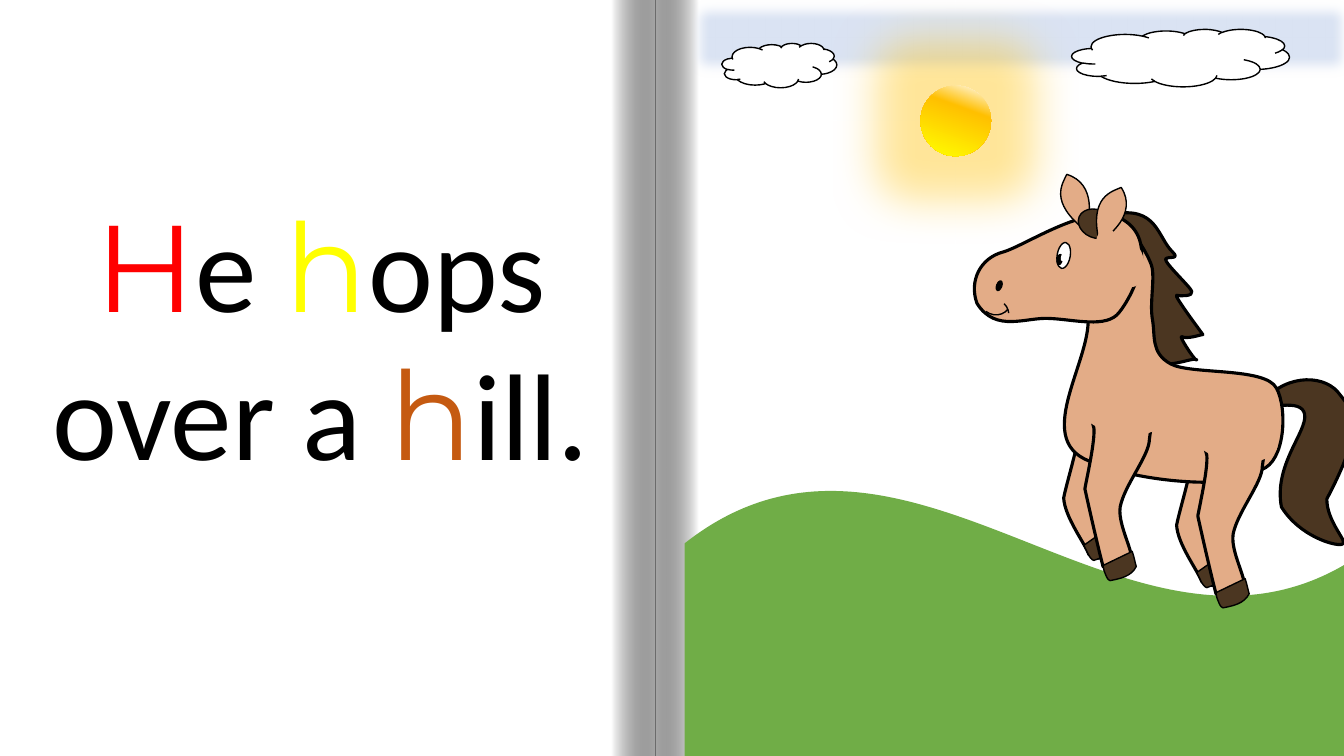
from lxml import etree
from pptx import Presentation
from pptx.dml.color import RGBColor
from pptx.enum.shapes import MSO_SHAPE
from pptx.enum.text import MSO_AUTO_SIZE, PP_ALIGN
from pptx.oxml import parse_xml
from pptx.oxml.ns import nsdecls, qn
from pptx.util import Inches, Pt

RECTANGLE, CLOUD, ELLIPSE = MSO_SHAPE.RECTANGLE, MSO_SHAPE.CLOUD, MSO_SHAPE.OVAL
ARC, DOUBLE_WAVE = MSO_SHAPE.ARC, MSO_SHAPE.DOUBLE_WAVE
CENTER, GROW = PP_ALIGN.CENTER, MSO_AUTO_SIZE.SHAPE_TO_FIT_TEXT

WHITE, BLACK, COAT, MANE = "FFFFFF", "000000", "E3AC87", "4B3621"
SKY, GRASS = "DAE3F3", "70AD47"
OUTLINE, THIN = 2.25, 1
REAR = (1.12, 0.27)  # offset from a front leg to the matching rear leg

# Outlines: start point, then lines (2 numbers) and curves (6 numbers)
FAR_LEG = [
    (11.04, 3.99), (10.93, 3.93, 10.79, 3.92, 10.7, 3.96),
    (10.63, 4.05, 10.67, 4.05, 10.71, 4.18), (10.73, 4.31, 10.58, 4.78, 10.55, 4.94),
    (10.56, 5.13, 10.76, 5.39, 10.8, 5.5), (10.89, 5.57, 10.94, 5.53, 11.05, 5.48),
    (11.15, 5.37, 10.87, 5.07, 10.93, 4.86), (11, 4.66, 11.04, 4.5, 11.04, 4.36), (11.04, 3.99)]
FAR_HOOF = [
    (10.75, 5.41), (10.78, 5.47), (10.8, 5.52, 10.83, 5.56, 10.85, 5.56),
    (10.96, 5.52, 11.09, 5.47, 11.12, 5.35), (11.11, 5.32, 11.08, 5.27, 11.05, 5.2)]
NEAR_LEG = [
    (11.44, 4.07), (11.34, 4.02, 10.99, 3.93, 10.9, 3.96),
    (10.83, 4.06, 10.81, 4.11, 10.85, 4.25), (10.86, 4.38, 10.79, 4.69, 10.76, 4.85),
    (10.86, 5.3, 10.91, 5.5, 10.94, 5.62), (11.04, 5.69, 11.09, 5.68, 11.21, 5.64),
    (11.3, 5.53, 11.05, 5.19, 11.12, 4.99), (11.18, 4.78, 11.4, 4.51, 11.4, 4.36), (11.44, 4.07)]
NEAR_HOOF = [
    (10.94, 5.61), (10.95, 5.66), (10.97, 5.71, 10.98, 5.75, 11.01, 5.76),
    (11.11, 5.74, 11.22, 5.72, 11.27, 5.62), (11.26, 5.59, 11.25, 5.53, 11.23, 5.47)]
TAIL = [
    (13.31, 5.4), (13.39, 5.39, 13.16, 5.19, 13.16, 4.95),
    (13.56, 4.19, 13.42, 4.08, 13.27, 3.89), (13.11, 3.7, 12.7, 3.72, 12.5, 4.03),
    (12.55, 4.07, 12.91, 3.94, 12.94, 4.11), (12.97, 4.28, 12.63, 4.61, 12.71, 5.03),
    (12.89, 5.32, 13.24, 5.42, 13.31, 5.4)]
MANE_HAIR = [
    (11.02, 2.13), (10.69, 2.3), (11.02, 3.04), (11.18, 3.53),
    (11.29, 3.54, 11.19, 3.56, 11.46, 3.56), (11.52, 3.69, 11.86, 3.53, 11.87, 3.57),
    (11.87, 3.61, 11.68, 3.32, 11.72, 3.34), (11.77, 3.37, 11.91, 3.32, 11.93, 3.32),
    (11.94, 3.33, 11.63, 2.92, 11.67, 2.93), (11.71, 2.94, 11.84, 2.94, 11.82, 2.89),
    (11.8, 2.84, 11.55, 2.61, 11.56, 2.57), (11.58, 2.54, 11.71, 2.58, 11.63, 2.5),
    (11.48, 2.36, 11.48, 2.03, 11.02, 2.13)]
BODY = [
    (11.43, 3.17), (11.4, 3, 11.46, 2.75, 11.42, 2.63),
    (11.38, 2.51, 11.17, 2.15, 11.06, 2.22), (10.96, 2.29, 10.85, 2.7, 10.78, 3.07),
    (10.89, 3.48, 10.25, 4.29, 10.75, 4.55), (11.26, 4.8, 12.35, 4.87, 12.51, 4.66),
    (12.75, 4.58, 12.77, 4.05, 12.66, 3.85), (12.55, 3.64, 11.81, 3.72, 11.61, 3.61),
    (11.41, 3.5, 11.46, 3.33, 11.43, 3.17)]
HEAD = [
    (11.17, 2.2), (10.86, 1.96, 10.19, 2.43, 9.95, 2.5), (9.72, 2.56, 9.61, 2.79, 9.69, 3.01),
    (9.88, 3.31, 10.18, 3.14, 10.42, 3.16), (10.65, 3.17, 10.98, 3.26, 11.1, 3.1),
    (11.23, 2.94, 11.49, 2.43, 11.17, 2.2)]
LEFT_EAR = [(10.76, 2.28), (10.4, 2, 10.54, 1.82, 10.58, 1.73),
            (10.88, 1.82, 10.81, 2.19, 10.76, 2.28)]
RIGHT_EAR = [(10.9, 2.39), (10.8, 1.95, 11.03, 1.9, 11.12, 1.86),
             (11.29, 2.12, 10.99, 2.36, 10.9, 2.39)]


def color(value):
    return RGBColor.from_string(value)


class Page:
    """Holds the slide and the collection that receives new shapes."""

    def __init__(self, slide):
        self.slide = slide
        self.shapes = slide.shapes

    def start_group(self):
        self.shapes = self.slide.shapes.add_group_shape().shapes

    def end_group(self):
        self.shapes = self.slide.shapes

    def style(self, shape, fill, line, width):
        shape.shadow.inherit = False
        if fill:
            shape.fill.solid()
            shape.fill.fore_color.rgb = color(fill)
        else:
            shape.fill.background()
        if line:
            shape.line.color.rgb = color(line)
            shape.line.width = Pt(width)
        else:
            shape.line.fill.background()
        return shape

    def preset(self, kind, box, fill=None, line=None, rotation=0, flip=False):
        shape = self.shapes.add_shape(kind, *map(Inches, box))
        shape.rotation = rotation
        if flip:
            shape._element.spPr.xfrm.set("flipH", "1")
        return self.style(shape, fill, line, THIN)

    def outline(self, segments, fill, width, shift=(0, 0)):
        points = [(Inches(x + shift[0]), Inches(y + shift[1]))
                  for segment in segments for x, y in zip(segment[::2], segment[1::2])]
        builder = self.shapes.build_freeform(*points[0])
        builder.add_line_segments(points[1:], close=True)
        shape = builder.convert_to_shape()
        # Join every three points of a curve into one Bézier element
        steps = iter(shape._element.findall(".//" + qn("a:lnTo")))
        for segment in segments[1:]:
            step = next(steps)
            if len(segment) == 6:
                step.tag = qn("a:cubicBezTo")
                for extra in (next(steps), next(steps)):
                    step.append(extra[0])
                    extra.getparent().remove(extra)
        return self.style(shape, fill, BLACK, width)

    def gradient(self, shape, stops, angle):
        properties = shape._element.spPr
        gradient = parse_xml(f'<a:gradFill {nsdecls("a")} rotWithShape="1"><a:gsLst/>'
                             f'<a:lin ang="{angle * 60000}" scaled="0"/></a:gradFill>')
        for position, value, alpha in stops:
            stop = etree.SubElement(gradient[0], qn("a:gs"), pos=str(position * 1000))
            tint = etree.SubElement(stop, qn("a:srgbClr"), val=value)
            if alpha < 100:
                etree.SubElement(tint, qn("a:alpha"), val=str(alpha * 1000))
        properties.replace(properties.find(qn("a:solidFill")), gradient)

    def effect(self, shape, name, radius):
        effects = shape._element.spPr.find(qn("a:effectLst"))
        return etree.SubElement(effects, qn(name), rad=str(Inches(radius)))

    def sentence(self, box, pieces, size):
        text_frame = self.shapes.add_textbox(*map(Inches, box)).text_frame
        text_frame.word_wrap = True
        text_frame.auto_size = GROW
        paragraph = text_frame.paragraphs[0]
        paragraph.alignment = CENTER
        for text, font, value in pieces:
            run = paragraph.add_run()
            run.text = text
            run.font.name = font
            run.font.size = Pt(size)
            run.font.color.rgb = color(value)


def draw_scenery(page):
    # Open book with a shaded fold
    page.start_group()
    page.preset(RECTANGLE, (-0.01, 0, 13.47, 7.5), WHITE)
    for left, flip in ((6.5, False), (6.07, True)):
        fold = page.preset(RECTANGLE, (left, 0, 0.43, 7.5), WHITE, flip=flip)
        page.gradient(fold, [(0, WHITE, 100), (100, BLACK, 34)], 180)
    page.end_group()

    # Sentence on the left page
    plain, accent = "Calibri", "Montserrat"
    page.sentence((-0.07, 1.83, 6.5, 3.06), [
        ("H", accent, "FF0000"), ("e ", plain, BLACK), ("h", accent, "FFFF00"),
        ("ops over a ", plain, BLACK), ("h", accent, "C55A11"), ("ill.", plain, BLACK)], 88)

    # Sky, clouds, hill and sun
    sky = page.preset(RECTANGLE, (6.79, -0.05, 6.67, 0.85), SKY, SKY)
    page.effect(sky, "a:softEdge", 0.14)
    for box in ((7.16, 0.43, 1.14, 0.44), (10.63, 0.29, 2.16, 0.57)):
        page.preset(CLOUD, box, WHITE, BLACK)
    page.preset(DOUBLE_WAVE, (6.79, 4.85, 13.71, 8.65), GRASS)
    sun = page.preset(ELLIPSE, (9.13, 0.85, 0.7, 0.7), WHITE)
    page.gradient(sun, [(0, WHITE, 100), (34, "FFC000", 100), (100, "FFFF00", 100)], 110)
    glow = page.effect(sun, "a:glow", 0.88)
    tint = etree.SubElement(glow, qn("a:srgbClr"), val="FFC000")
    etree.SubElement(tint, qn("a:alpha"), val="40000")


def draw_near_leg(page, shift=(0, 0)):
    page.outline(NEAR_LEG, COAT, OUTLINE, shift)
    page.outline(NEAR_HOOF, MANE, THIN, shift)
    page.preset(ELLIPSE, (10.71 + shift[0], 3.88 + shift[1], 0.84, 0.42), COAT, COAT, 9.8, True)


def draw_horse(page):
    page.start_group()
    # Far legs, tail, mane and body
    page.outline(FAR_LEG, COAT, OUTLINE, REAR)
    page.outline(TAIL, MANE, OUTLINE)
    page.outline(FAR_LEG, COAT, OUTLINE)
    for shift in ((0, 0), REAR):
        page.outline(FAR_HOOF, MANE, THIN, shift)
    page.outline(MANE_HAIR, MANE, OUTLINE)
    page.outline(BODY, COAT, OUTLINE)
    draw_near_leg(page)

    # Head, ears and forelock
    page.outline(HEAD, COAT, OUTLINE)
    page.outline(LEFT_EAR, COAT, THIN)
    page.preset(ELLIPSE, (10.69, 2.08, 0.36, 0.28), MANE, BLACK, 22.4, True)
    page.outline(RIGHT_EAR, COAT, THIN)

    # Cheek, eye, nostril and smile
    for box, fill, line, rotation in (
            ((10.77, 2.36, 0.4, 0.2), COAT, COAT, 271.7),
            ((10.42, 2.47, 0.26, 0.13), WHITE, BLACK, 279.8),
            ((9.86, 2.81, 0.1, 0.05), BLACK, BLACK, 290.4),
            ((10.46, 2.55, 0.1, 0.05), BLACK, BLACK, 279.8),
            ((11.04, 2.54, 0.4, 0.2), COAT, COAT, 271.7),
            ((10.5, 2.52, 0.1, 0.05), WHITE, None, 290.4)):
        page.preset(ELLIPSE, box, fill, line, rotation, True)
    page.preset(ARC, (9.71, 2.82, 0.32, 0.3), None, BLACK, 217.1, True)
    dimple = page.preset(ARC, (9.69, 2.98, 0.32, 0.3), None, BLACK, 132.8, True)
    dimple.adjustments[0] = 192.94

    draw_near_leg(page, REAR)
    page.end_group()


def main():
    presentation = Presentation()
    presentation.slide_width, presentation.slide_height = Inches(13.33), Inches(7.5)
    slide = presentation.slides.add_slide(presentation.slide_layouts[6])
    slide.background.fill.solid()
    slide.background.fill.fore_color.rgb = color(BLACK)
    page = Page(slide)
    draw_scenery(page)
    draw_horse(page)
    presentation.save("out.pptx")


if __name__ == "__main__":
    main()
